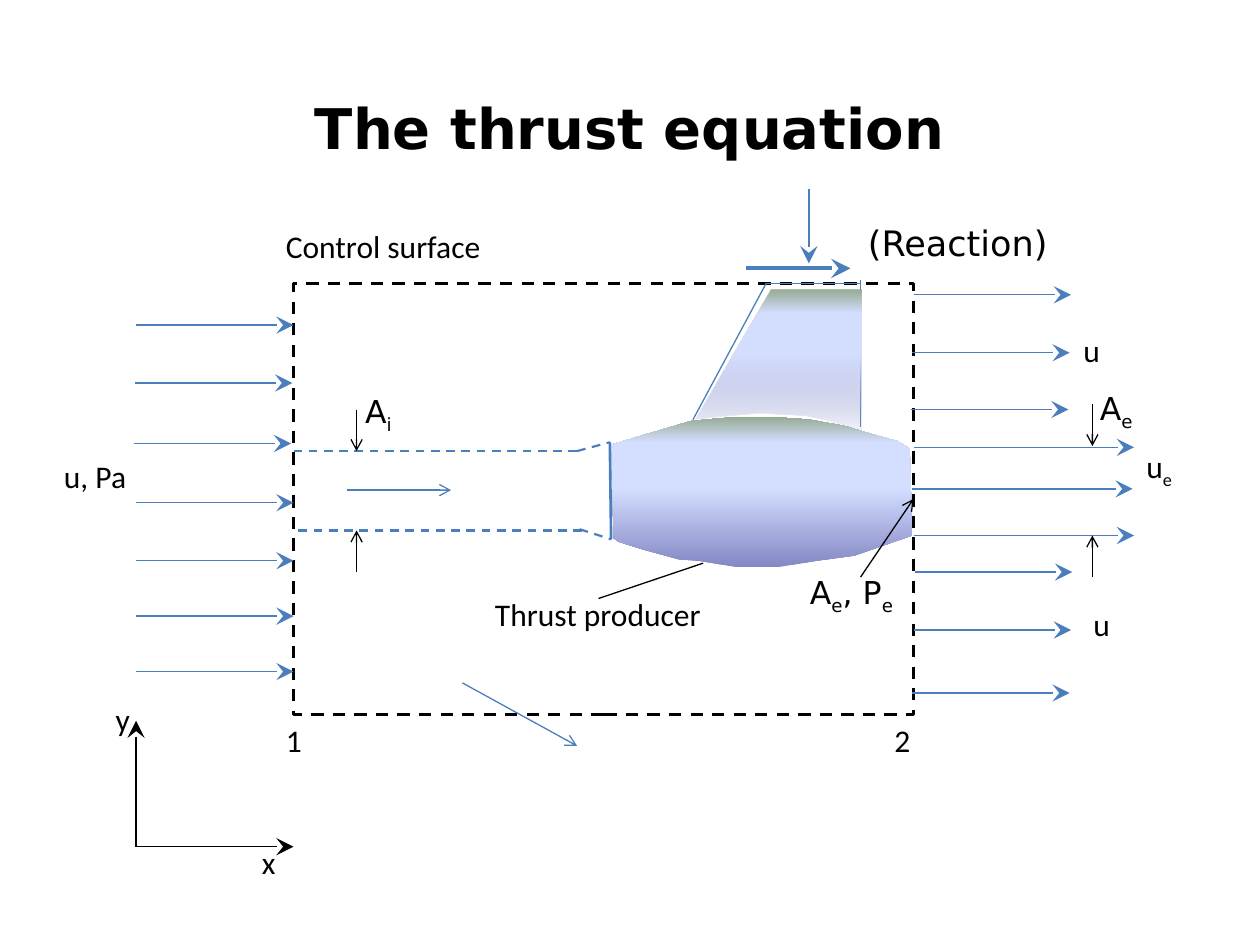
import pptx
import pptx.dml.color
import pptx.enum.dml
import pptx.enum.shapes
import pptx.enum.text
import pptx.oxml
import pptx.oxml.ns
import pptx.util

BLUE, BLACK = "4B7EBC", "000000"
SANS, BODY = "DejaVu Sans", "Calibri"
DASH = pptx.enum.dml.MSO_LINE.DASH
STOPS = [(0, "8488C4"), (53, "D4DEFF"), (83, "D4DEFF"), (100, "96AB94")]

BOX = (2.33, 2.25, 4.92, 3.42)
BODY_PTS = [
    (4.85, 3.53), (5.15, 3.44), (5.49, 3.34), (5.84, 3.31), (6.13, 3.31),
    (6.42, 3.33), (6.7, 3.38), (6.9, 3.44), (7.12, 3.5), (7.22, 3.56),
    (7.24, 4.25), (7.01, 4.33), (6.78, 4.41), (6.49, 4.45), (6.18, 4.5),
    (5.84, 4.5), (5.54, 4.45), (5.39, 4.44), (5.1, 4.36), (4.91, 4.3),
    (4.87, 4.27)]
FIN_PTS = [
    (6.12, 2.3), (6.84, 2.3), (6.84, 3.42), (6.57, 3.34), (6.39, 3.3),
    (6.03, 3.28), (5.69, 3.31), (5.52, 3.33)]
FIN_EDGES = [(6.83, 2.22, 6.83, 3.39), (6.08, 2.25, 5.5, 3.33),
             (6.08, 2.25, 6.83, 2.25)]
TUBE = [(4.58, 3.58, 2.33, 3.58), (4.62, 4.21, 2.33, 4.21),
        (4.58, 3.58, 4.84, 3.51), (4.6, 4.2, 4.85, 4.28)]
# Each flow: arrow length, then the start points
FLOWS = [
    (1.25, [(1.08, 2.58), (1.07, 3.04), (1.06, 3.52), (1.08, 3.99),
            (1.08, 4.45), (1.08, 4.89), (1.08, 5.33)]),
    (1.25, [(7.25, 2.34), (7.24, 2.8), (7.23, 3.25), (7.26, 4.54),
            (7.25, 5), (7.24, 5.5)]),
    (1.75, [(7.25, 3.55), (7.24, 3.88), (7.25, 4.25)])]
AXES = [(1.08, 6.72, 2.33, 6.72), (1.08, 6.72, 1.08, 5.72)]
GAUGES = [(2.83, 3.25, 3.58), (2.83, 4.54, 4.21),
          (8.67, 3.21, 3.54), (8.67, 4.58, 4.25)]
# Every second part of a label, split at "|", is a subscript
LABELS = [
    ("(Reaction)", 6.79, 1.71, 2.17, SANS, 20),
    ("Control surface", 2.17, 1.75, 2.08, BODY, 18),
    ("Thrust producer", 3.83, 4.67, 2.08, BODY, 18),
    ("u, Pa", 0.41, 3.58, 0.83, BODY, 18),
    ("u", 8.5, 2.58, 0.42, BODY, 18),
    ("u", 8.58, 4.75, 0.42, BODY, 18),
    ("A|i", 2.8, 3.06, 0.42, SANS, 18),
    ("A|e", 8.63, 3.04, 0.58, SANS, 18),
    ("u|e", 9, 3.5, 0.5, BODY, 18),
    ("2", 7, 5.67, 0.42, BODY, 18),
    ("1", 2.17, 5.67, 0.42, BODY, 18),
    ("x", 1.98, 6.64, 0.42, BODY, 18),
    ("y", 0.82, 5.51, 0.42, BODY, 18),
    ("A|e|, P|e", 6.33, 4.5, 1.33, SANS, 18)]


def emu(*vals):
    """Turn layout units of 2.54 cm into lengths."""
    return [pptx.util.Cm(val * 2.54) for val in vals]


def color(code):
    return pptx.dml.color.RGBColor.from_string(code)


def node(home, tag, **attrs):
    """Append a drawing element to home."""
    item = pptx.oxml.parse_xml(
        f"<a:{tag} {pptx.oxml.ns.nsdecls('a')}/>")
    for key, val in attrs.items():
        item.set(key, str(val))
    home.append(item)
    return item


def apply(target, values):
    for key, val in values.items():
        setattr(target, key, val)


def stroke(shape, code, width, dash=None):
    shape.line.color.rgb = color(code)
    apply(shape.line, {"width": pptx.util.Pt(width), "dash_style": dash})


def link(slide, ends, code=BLUE, width=0.75, dash=None, head=None):
    """Draw a straight line, with an arrowhead if head is named."""
    kind = pptx.enum.shapes.MSO_CONNECTOR.STRAIGHT
    line = slide.shapes.add_connector(kind, *emu(*ends))
    stroke(line, code, width, dash)
    if head:
        size = "lg" if head == "stealth" else "med"
        node(line.line._get_or_add_ln(), "tailEnd",
             type=head, w=size, len=size)
    node(line._element.spPr, "effectLst")
    return line


def blend(slide, pts, alpha=None):
    """Draw an outline filled from bottom to top; alpha thins the bottom."""
    first, *rest = [emu(*pt) for pt in pts]
    pen = slide.shapes.build_freeform(*first)
    pen.add_line_segments(rest, close=True)
    shape = pen.convert_to_shape()
    shape.shadow.inherit = False
    shape.line.fill.background()
    shape.fill.gradient()
    shape.fill.gradient_angle = 90
    stops = shape._element.spPr.find(".//" + pptx.oxml.ns.qn("a:gsLst"))
    for old in list(stops):
        stops.remove(old)
    for pos, code in STOPS:
        stop = node(stops, "gs", pos=pos * 1000)
        tone = node(stop, "srgbClr", val=code)
        if alpha and pos == 0:
            node(tone, "alpha", val=alpha * 1000)


def frame(slide):
    kind = pptx.enum.shapes.MSO_SHAPE.RECTANGLE
    box = slide.shapes.add_shape(kind, *emu(*BOX))
    box.shadow.inherit = False
    box.fill.background()
    stroke(box, BLACK, 1.75, DASH)
    return box


def label(slide, text, left, top, width, face, size, high=0.4, bold=False):
    box = slide.shapes.add_textbox(*emu(left, top, width, high))
    box.text_frame.word_wrap = True
    para = box.text_frame.paragraphs[0]
    for i, part in enumerate(text.split("|")):
        run = para.add_run()
        run.text = part
        apply(run.font, {"name": face, "size": pptx.util.Pt(size),
                         "bold": bold})
        run.font.color.rgb = color(BLACK)
        if i % 2:
            run.font._element.set("baseline", "-25000")
    return box


def title(slide):
    box = label(slide, "The thrust equation", 0.5, 0.63, 9, SANS, 32,
                0.75, True)
    box.text_frame.vertical_anchor = pptx.enum.text.MSO_ANCHOR.MIDDLE
    para = box.text_frame.paragraphs[0]
    para.alignment = pptx.enum.text.PP_ALIGN.CENTER


def engine(slide):
    """Draw the thrust producer and the control surface around it."""
    blend(slide, BODY_PTS)
    title(slide)
    box = frame(slide)
    link(slide, (4.84, 3.51, 4.85, 4.28), width=1.5)
    for ends in FIN_EDGES:
        link(slide, ends)
    blend(slide, FIN_PTS, alpha=9)
    for ends in TUBE:
        link(slide, ends, width=1.25, dash=DASH)
    return box


def flow(slide):
    for size, starts in FLOWS:
        for x, y in starts:
            link(slide, (x, y, x + size, y), head="stealth")
    link(slide, (5.92, 2.13, 6.75, 2.13), width=2.25, head="stealth")
    link(slide, (6.42, 1.5, 6.42, 2.09), width=1.5, head="stealth")
    link(slide, (2.75, 3.89, 3.58, 3.89), head="arrow")
    link(slide, (3.67, 5.42, 4.58, 5.92), head="arrow")


def main():
    deck = pptx.Presentation()
    wide, high = emu(10, 7.5)
    apply(deck, {"slide_width": wide, "slide_height": high})
    slide = deck.slides.add_slide(deck.slide_layouts[6])
    box = engine(slide)
    flow(slide)
    for ends in AXES:
        link(slide, ends, BLACK, head="stealth")
    for item in LABELS:
        note = label(slide, *item)
        note.text_frame.auto_size = (
            pptx.enum.text.MSO_AUTO_SIZE.SHAPE_TO_FIT_TEXT)
    link(slide, (4.75, 4.75, 5.58, 4.47), BLACK)
    for x, start, end in GAUGES:
        link(slide, (x, start, x, end), BLACK, head="arrow")
    exit_line = link(slide, (6.83, 4.58, 7.25, 3.96), BLACK, head="arrow")
    exit_line.end_connect(box, 3)
    deck.save("out.pptx")


if __name__ == "__main__":
    main()
